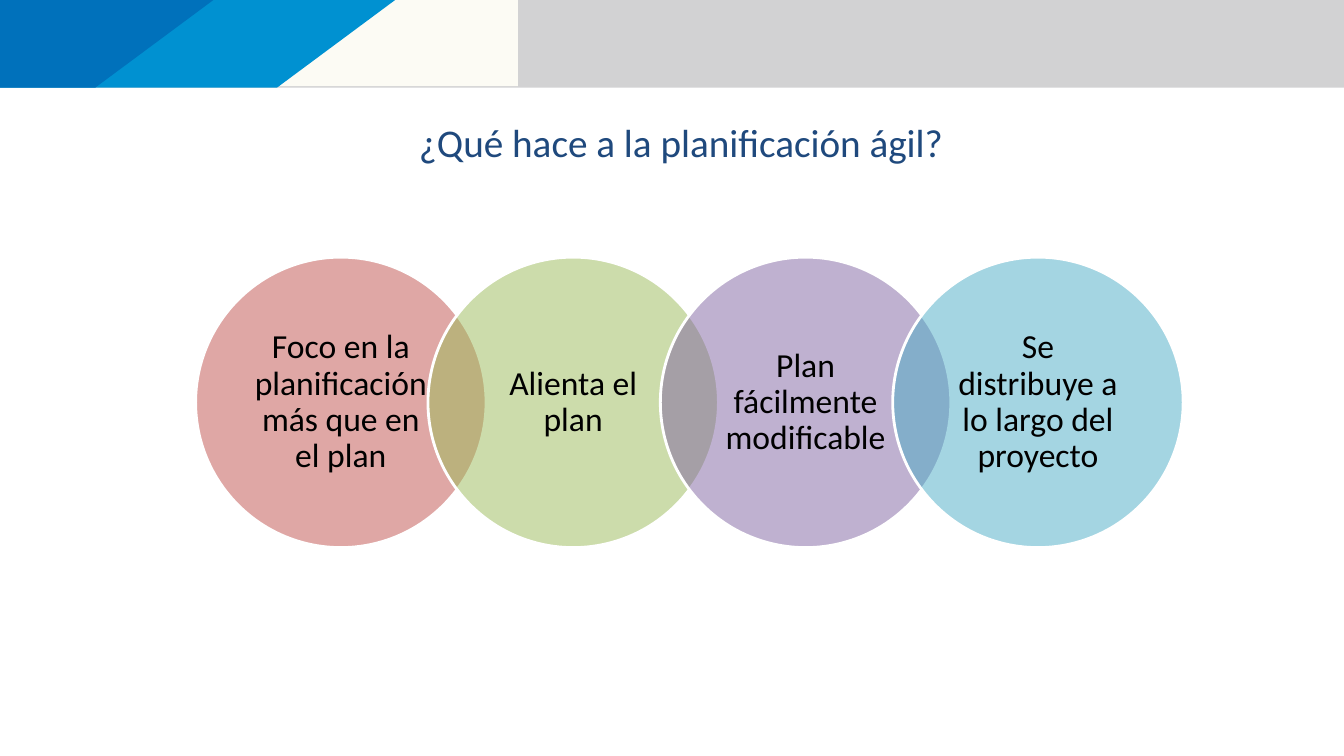
from dataclasses import dataclass

from lxml import etree
from pptx import Presentation
from pptx.dml.color import RGBColor
from pptx.enum.shapes import MSO_SHAPE
from pptx.enum.text import MSO_ANCHOR, PP_ALIGN
from pptx.oxml.ns import qn
from pptx.util import Cm, Pt

RECT = MSO_SHAPE.RECTANGLE
OVAL = MSO_SHAPE.OVAL
MIDDLE = MSO_ANCHOR.MIDDLE
CENTER = PP_ALIGN.CENTER


@dataclass(frozen=True)
class Theme:
    """Hold the colours, font and type sizes of the slide."""
    font: str = "Calibri"
    title: str = "1F497D"
    text: str = "000000"
    edge: str = "FFFFFF"
    gray: str = "D2D2D3"
    cream: str = "FCFBF4"
    sky: str = "0091D1"
    blue: str = "0071BB"
    rings: tuple = ("C0504D", "9BBB59", "8064A2", "4BACC6")
    head: int = 28
    body: int = 24


THEME = Theme()
LABELS = (
    "Foco en la planificación más que en el plan",
    "Alienta el plan",
    "Plan fácilmente modificable",
    "Se distribuye a lo largo del proyecto",
)


def paint(shape, color, alpha=None, edge=None):
    """Give a shape its fill, opacity in percent and outline."""
    shape.shadow.inherit = False
    shape.fill.solid()
    shape.fill.fore_color.rgb = RGBColor.from_string(color)
    if alpha is not None:
        tint = shape.fill._xPr.find(".//" + qn("a:srgbClr"))
        etree.SubElement(tint, qn("a:alpha"), val=str(alpha * 1000))
    if edge:
        shape.line.color.rgb = RGBColor.from_string(edge)
        shape.line.width = Pt(2)
    else:
        shape.line.fill.background()


def write(shape, text, size, color, pad=(0, 0), lead=1.0):
    """Write one centred paragraph in a shape."""
    frame = shape.text_frame
    frame.word_wrap = True
    frame.vertical_anchor = MIDDLE
    frame.margin_left = frame.margin_right = Cm(pad[0])
    frame.margin_top = frame.margin_bottom = Cm(pad[1])
    para = frame.paragraphs[0]
    para.alignment = CENTER
    para.line_spacing = lead
    run = para.add_run()
    run.text = text
    run.font.name = THEME.font
    run.font.size = Pt(size)
    run.font.color.rgb = RGBColor.from_string(color)


def band(slide, left, top, width, height):
    """Draw the header band with its slanted stripes."""
    plain = ((width, height, THEME.gray), (13.05, height - 0.04, THEME.cream))
    for wide, high, color in plain:
        bar = slide.shapes.add_shape(
            RECT, Cm(left), Cm(top), Cm(wide), Cm(high))
        paint(bar, color)
    slant = 2.98
    for wide, color in ((9.96, THEME.sky), (5.38, THEME.blue)):
        base = top + height
        path = slide.shapes.build_freeform(Cm(left), Cm(top))
        path.add_line_segments([
            (Cm(left + wide), Cm(top)),
            (Cm(left + wide - slant), Cm(base)),
            (Cm(left), Cm(base)),
        ])
        paint(path.convert_to_shape(), color)


def title(slide, left, top, width, height, text):
    """Place the slide title."""
    box = slide.shapes.add_textbox(
        Cm(left), Cm(top), Cm(width), Cm(height))
    write(box, text, THEME.head, THEME.title)


def chain(slide, left, top, size, labels):
    """Place a row of circles, each covering a fifth of the one before."""
    step = size * 0.8
    for i, (label, color) in enumerate(zip(labels, THEME.rings)):
        ring = slide.shapes.add_shape(
            OVAL, Cm(left + i * step), Cm(top), Cm(size), Cm(size))
        paint(ring, color, alpha=50, edge=THEME.edge)
        write(ring, label, THEME.body, THEME.text, pad=(0.4, 0.08), lead=0.9)


def main():
    """Build and save the slide."""
    deck = Presentation()
    deck.slide_width = Cm(33.87)
    deck.slide_height = Cm(19.05)
    slide = deck.slides.add_slide(deck.slide_layouts[6])
    band(slide, 0, 0, 33.87, 2.21)
    title(slide, 2.77, 2.92, 28.78, 1.32, "¿Qué hace a la planificación ágil?")
    chain(slide, 4.93, 6.48, 7.32, LABELS)
    deck.save("out.pptx")


if __name__ == "__main__":
    main()
